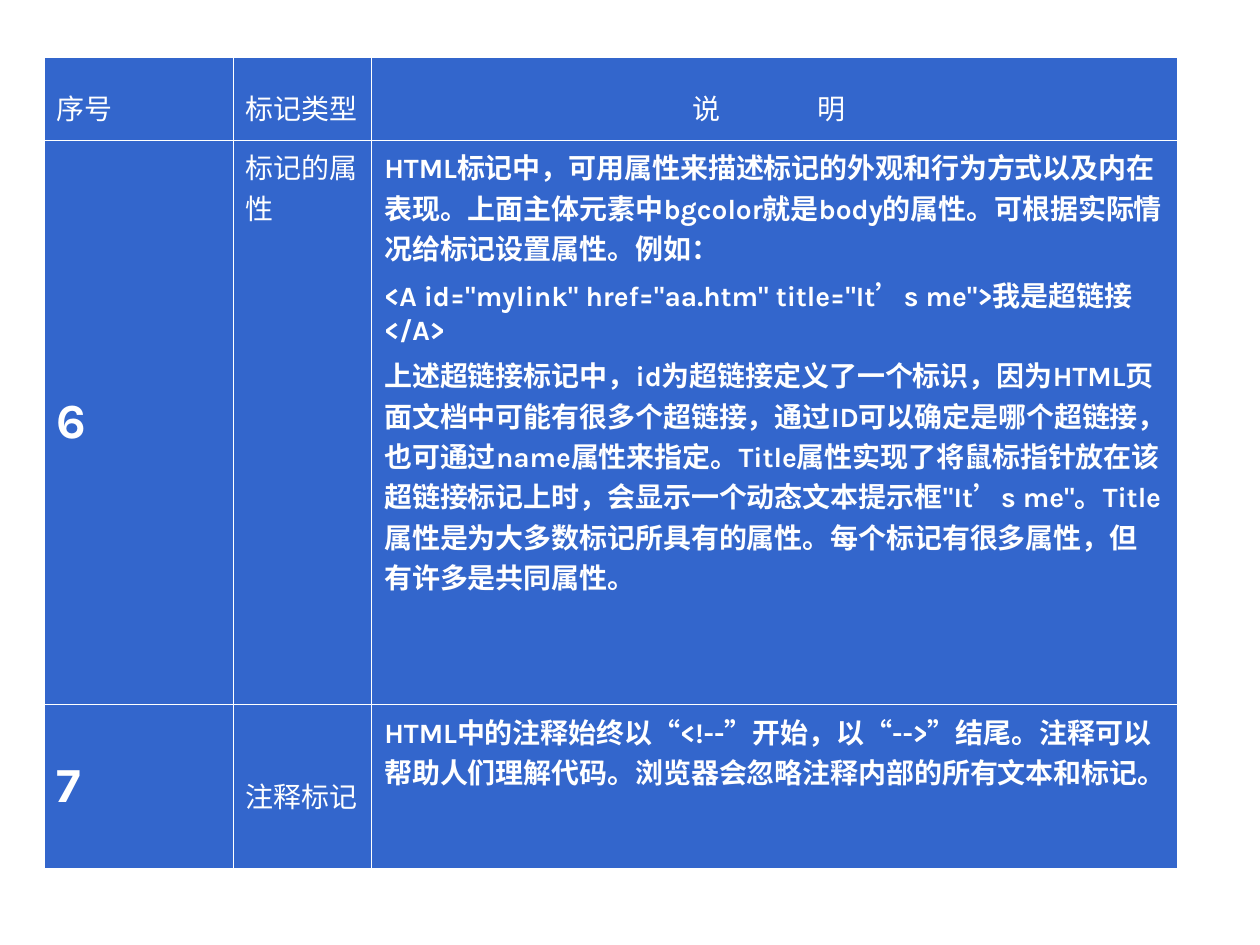
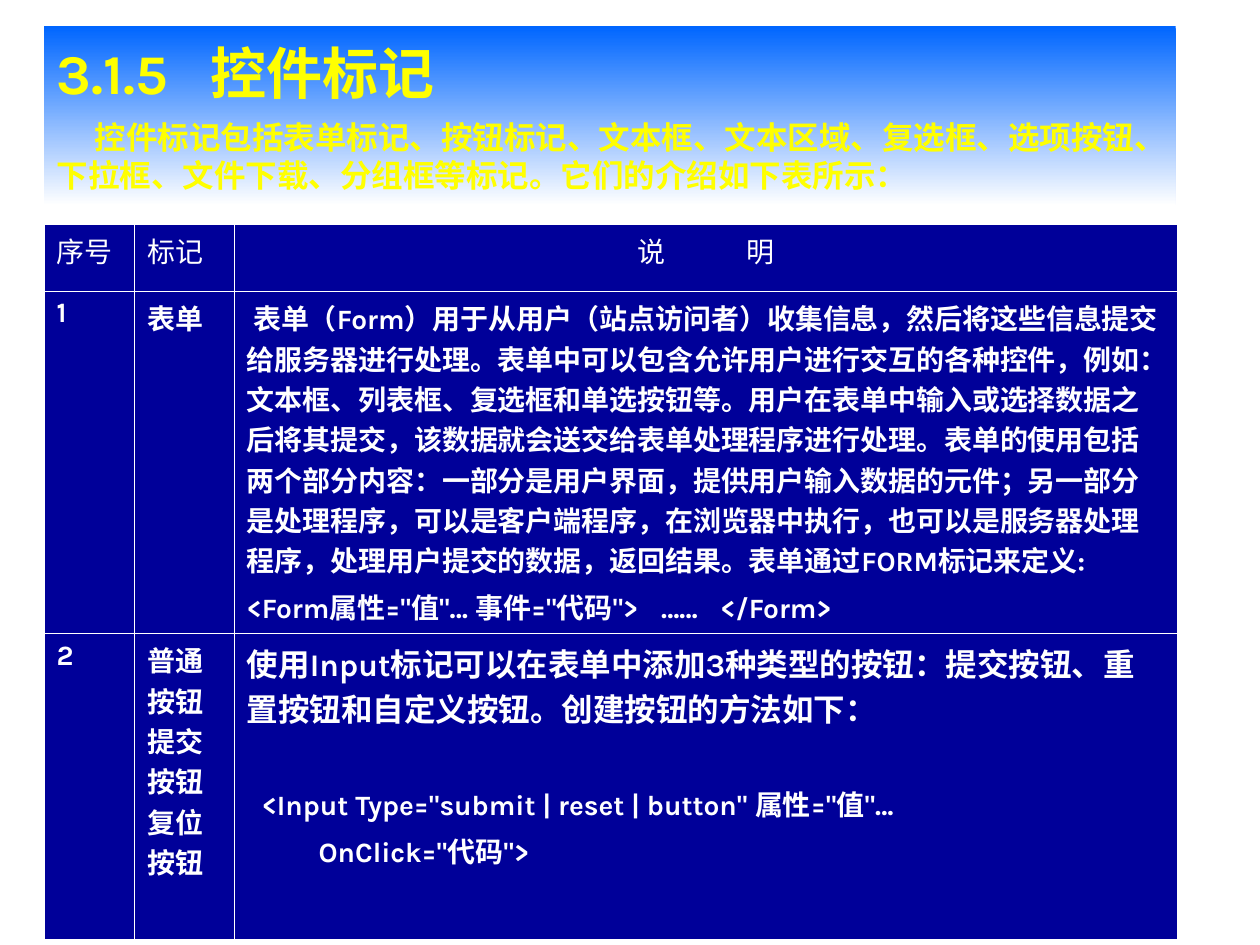
"""Build two slides of HTML tag reference tables."""
from lxml import etree
from pptx import Presentation
from pptx.dml.color import RGBColor
from pptx.enum.text import MSO_ANCHOR as ANCHOR, MSO_AUTO_SIZE as AUTO, PP_ALIGN as ALIGN
from pptx.oxml.ns import qn
from pptx.util import Inches, Pt

WHITE = RGBColor(0xFF, 0xFF, 0xFF)
YELLOW = RGBColor(0xFF, 0xFF, 0x00)
SKY = RGBColor(0x00, 0x66, 0xFF)
BLUE = RGBColor(0x33, 0x66, 0xCC)
NAVY = RGBColor(0x00, 0x00, 0x99)
FONT = "Karla"
LEFT = 0.35
THIN, THICK = 0.45, 1.08


def write(p, text, size=16, bold=True, color=WHITE, font=FONT, before=4, after=0,
          indent=0, gap=0, align=ALIGN.LEFT, tall=False):
    """Fill a paragraph; a tab in the text becomes one space widened by gap points."""
    p.alignment = align
    p.space_before, p.space_after = Pt(7 if tall else before), Pt(after)
    pPr = p._p.get_or_add_pPr()
    pPr.set("marL", "0")
    pPr.set("indent", str(Inches(indent)))
    pieces = [(text, size, bold, 0)]
    if "\t" in text:
        parts = text.split("\t")
        pieces = [(parts[0], size, bold, 0)]
        for part in parts[1:]:
            pieces += [(" ", size, bold, gap), (part, size, bold, 0)]
    if tall:
        pieces.append((" ", 28, True, 0))
    for piece, points, heavy, spread in pieces:
        r = p.add_run()
        r.text = piece
        r.font.name, r.font.size, r.font.bold = font, Pt(points), heavy
        r.font.color.rgb = color
        if spread:
            r._r.get_or_add_rPr().set("spc", str(spread * 100))


def add_grid(s, top, widths, heights, fill, rows, middle=()):
    """Add a filled table with thick outer and thin inner white borders."""
    table = s.shapes.add_table(len(heights), len(widths), Inches(LEFT), Inches(top),
                               Inches(sum(widths)), Inches(sum(heights))).table
    table.first_row = table.horz_banding = False
    for column, width in zip(table.columns, widths):
        column.width = Inches(width)
    for row, height in zip(table.rows, heights):
        row.height = Inches(height)
    for i, row in enumerate(rows):
        for j, paragraphs in enumerate(row):
            cell = table.cell(i, j)
            cell.vertical_anchor = ANCHOR.MIDDLE if (i, j) in middle else ANCHOR.TOP
            outer = {"L": j == 0, "R": j == len(widths) - 1,
                     "T": i == 0, "B": i == len(heights) - 1}
            tcPr = cell._tc.get_or_add_tcPr()
            for side, edge in outer.items():
                ln = etree.SubElement(tcPr, qn(f"a:ln{side}"), w=str(Pt(THICK if edge else THIN)))
                solid = etree.SubElement(ln, qn("a:solidFill"))
                etree.SubElement(solid, qn("a:srgbClr"), val=str(WHITE))
            cell.fill.solid()
            cell.fill.fore_color.rgb = fill
            tf = cell.text_frame
            for k, (text, options) in enumerate(paragraphs):
                write(tf.paragraphs[0] if k == 0 else tf.add_paragraph(), text, **options)


prs = Presentation()
prs.slide_width, prs.slide_height = Inches(10), Inches(7.5)

tall_head = dict(bold=False, tall=True)
number = dict(size=28, before=7)
attribute_rows = [
    [[("序号", tall_head)],
     [("标记类型", tall_head)],
     [("说\t明", dict(tall_head, align=ALIGN.CENTER, gap=52))]],
    [[("6", number)],
     [("标记的属性", dict(bold=False, font="Times New Roman"))],
     [("HTML标记中，可用属性来描述标记的外观和行为方式以及内在表现。上面主体元素中bgcolor就是body的属性。"
       "可根据实际情况给标记设置属性。例如：", {}),
      ('<A id="mylink" href="aa.htm" title="It’s me">我是超链接</A>', {}),
      ("上述超链接标记中，id为超链接定义了一个标识，因为HTML页面文档中可能有很多个超链接，"
       "通过ID可以确定是哪个超链接，也可通过name属性来指定。Title属性实现了将鼠标指针放在该超链接标记上时，"
       '会显示一个动态文本提示框"It’s me"。Title属性是为大多数标记所具有的属性。'
       "每个标记有很多属性，但有许多是共同属性。", {})]],
    [[("7", number)],
     [("注释标记", tall_head)],
     [("HTML中的注释始终以“<!--”开始，以“-->”结尾。注释可以帮助人们理解代码。"
       "浏览器会忽略注释内部的所有文本和标记。", dict(tall=True))]],
]
s = prs.slides.add_slide(prs.slide_layouts[6])
add_grid(s, 0.45, [1.5, 1.1, 6.4], [0.66, 4.48, 1.3], BLUE, attribute_rows,
         middle=[(1, 0), (2, 0), (2, 1)])

s = prs.slides.add_slide(prs.slide_layouts[5])
sp = s.shapes.title
sp.left, sp.top, sp.width, sp.height = Inches(LEFT), Inches(0.21), Inches(8.98), Inches(1.42)
sp.fill.gradient()
sp.fill.gradient_angle = 270
for stop, color in zip(sp.fill.gradient_stops, (SKY, WHITE)):
    stop.color.rgb = color
tf = sp.text_frame
tf.word_wrap, tf.auto_size, tf.vertical_anchor = True, AUTO.NONE, ANCHOR.MIDDLE
write(tf.paragraphs[0], "3.1.5\t控件标记", size=32, color=YELLOW, before=0, gap=16)
write(tf.add_paragraph(), "控件标记包括表单标记、按钮标记、文本框、文本区域、复选框、选项按钮、下拉框、"
      "文件下载、分组框等标记。它们的介绍如下表所示：", size=18, color=YELLOW, before=7, indent=0.3)

head = dict(bold=False)
control_rows = [
    [[("序号", head)],
     [("标记", head)],
     [("说\t明", dict(head, align=ALIGN.CENTER, gap=43))]],
    [[("1", {})],
     [("表单", {})],
     [("表单（Form）用于从用户（站点访问者）收集信息，然后将这些信息提交给服务器进行处理。"
       "表单中可以包含允许用户进行交互的各种控件，例如：文本框、列表框、复选框和单选按钮等。"
       "用户在表单中输入或选择数据之后将其提交，该数据就会送交给表单处理程序进行处理。"
       "表单的使用包括两个部分内容：一部分是用户界面，提供用户输入数据的元件；"
       "另一部分是处理程序，可以是客户端程序，在浏览器中执行，也可以是服务器处理程序，"
       "处理用户提交的数据，返回结果。表单通过FORM标记来定义:", dict(indent=0.05)),
      ('<Form属性="值"… 事件="代码">\t……\t</Form>', dict(gap=9))]],
    [[("2", {})],
     [("普通按钮 提交按钮复位按钮", {})],
     [("使用Input标记可以在表单中添加3种类型的按钮：提交按钮、重置按钮和自定义按钮。"
       "创建按钮的方法如下：", dict(size=18, before=4.5, after=26)),
      ('<Input Type="submit | reset | button" 属性="值"…', dict(indent=0.12)),
      ('OnClick="代码">', dict(indent=0.57))]],
]
add_grid(s, 1.78, [0.72, 0.79, 7.49], [0.53, 2.71, 2.43], NAVY, control_rows)

prs.save("out.pptx")
